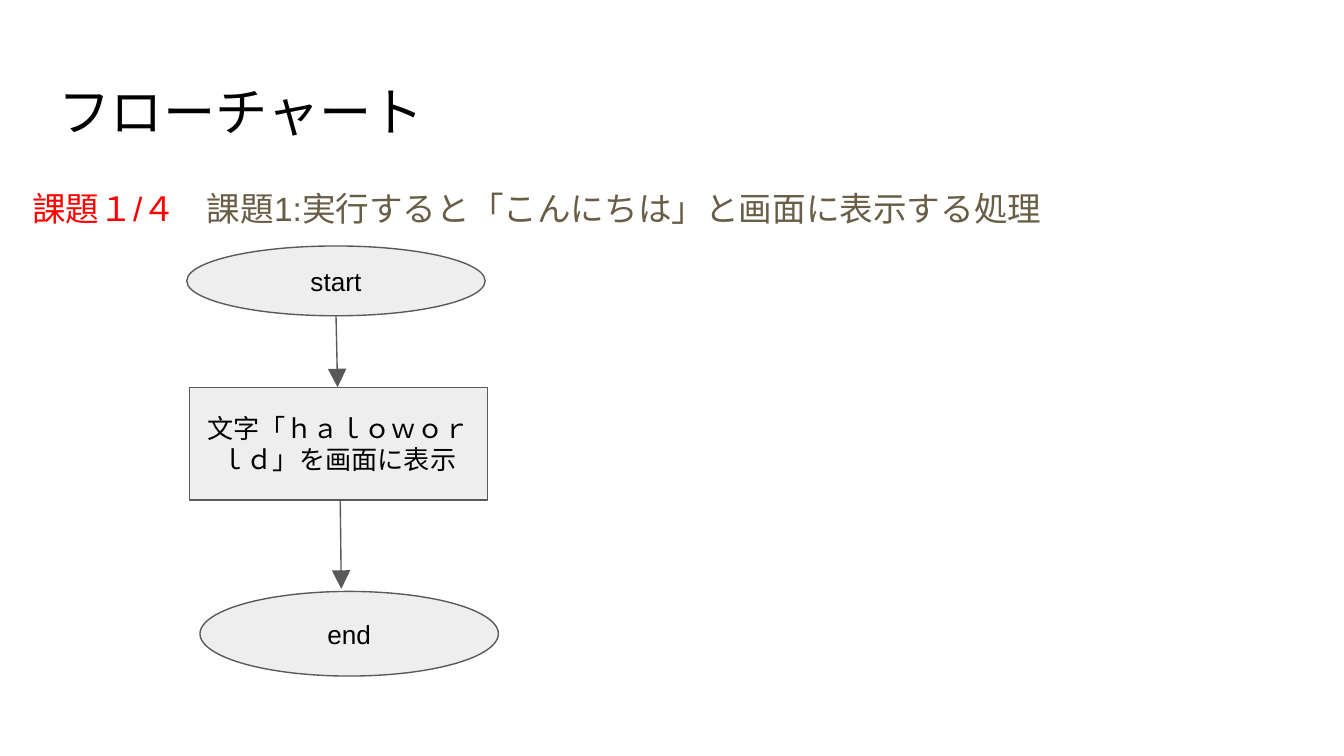
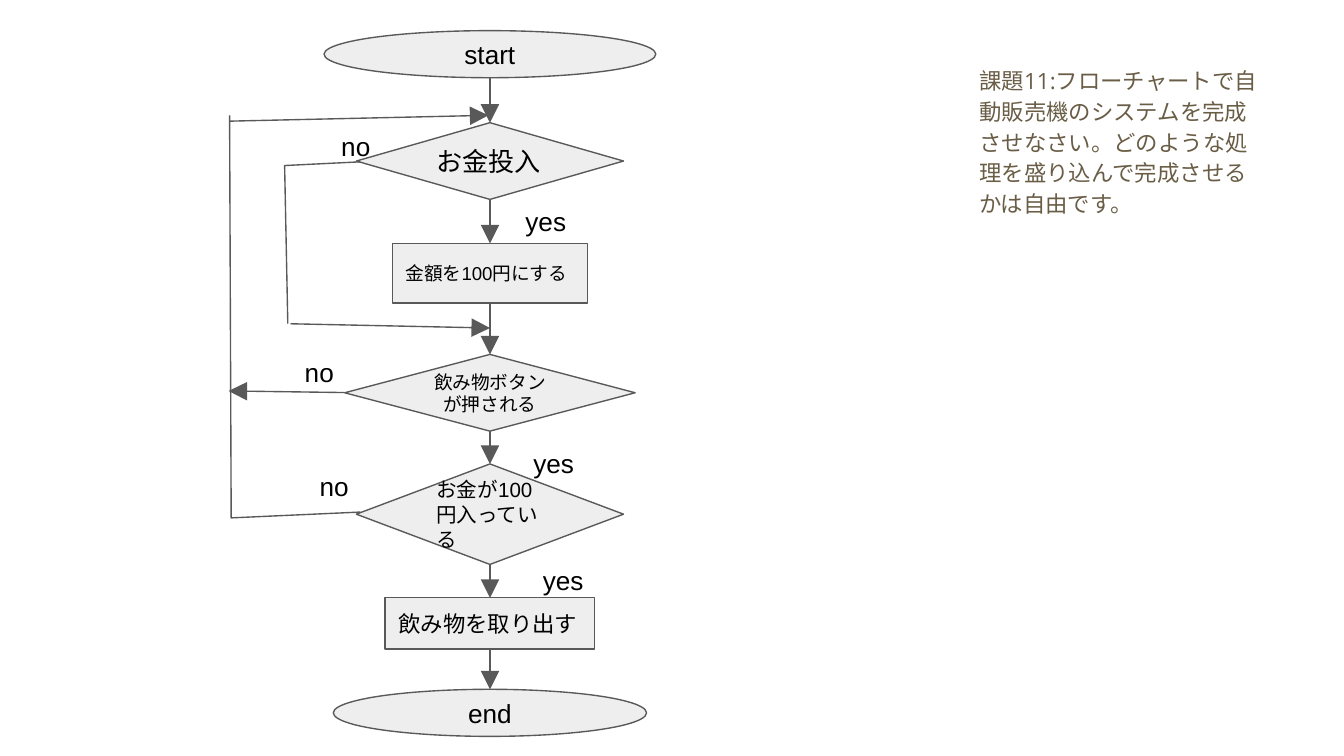
from dataclasses import dataclass
from itertools import pairwise
from typing import Any, Optional

from lxml import etree
from pptx import Presentation
from pptx import util as u
from pptx.dml.color import RGBColor
from pptx.enum import shapes, text
from pptx.oxml import ns

Point = tuple[float, float]
Kind = shapes.MSO_SHAPE
CENTER, LEFT = text.PP_ALIGN.CENTER, text.PP_ALIGN.LEFT


@dataclass(frozen=True)
class Theme:
    ink: str = "000000"
    accent: str = "FF0000"
    task: str = "695D46"
    node_fill: str = "EEEEEE"
    outline: str = "595959"
    outline_width: float = 0.75
    font: str = "Arial"
    task_font: str = "Open Sans"
    title: int = 28
    heading: int = 18
    node: int = 14
    note: int = 12
    detail: int = 11
    small: int = 10
    inset: float = 0.25


THEME = Theme()


@dataclass(frozen=True)
class Run:
    words: str
    size: int = THEME.node
    color: str = THEME.ink
    font: str = THEME.font


@dataclass(frozen=True)
class Box:
    """A rectangle measured in centimetres."""
    left: float
    top: float
    width: float
    height: float

    @property
    def lengths(self) -> list[u.Length]:
        return [u.Cm(value) for value in (self.left, self.top, self.width, self.height)]

    @property
    def top_center(self) -> Point:
        return self.left + self.width / 2, self.top

    @property
    def bottom_center(self) -> Point:
        return self.left + self.width / 2, self.top + self.height


@dataclass(frozen=True)
class Node:
    kind: Any
    words: str
    box: Box
    size: int = THEME.node
    align: Any = CENTER


@dataclass(frozen=True)
class Label:
    words: str
    box: Box


def set_values(target: Any, values: dict[str, Any]) -> None:
    for name, value in values.items():
        setattr(target, name, value)


def style_line(line: Any) -> None:
    line.color.rgb = RGBColor.from_string(THEME.outline)
    line.width = u.Pt(THEME.outline_width)


def write(shape: Any, runs: list[Run], frame_format: Optional[dict[str, Any]] = None,
          paragraph_format: Optional[dict[str, Any]] = None,
          tab: Optional[float] = None) -> None:
    frame = shape.text_frame
    margins = {f"margin_{side}": u.Cm(THEME.inset)
               for side in ("left", "top", "right", "bottom")}
    set_values(frame, margins | {"word_wrap": True} | (frame_format or {}))
    paragraph = frame.paragraphs[0]
    if tab is not None:
        tabs = etree.SubElement(paragraph._p.get_or_add_pPr(), ns.qn("a:tabLst"))
        etree.SubElement(tabs, ns.qn("a:tab"), pos=str(u.Cm(tab)), algn="l")
    set_values(paragraph, paragraph_format or {})
    for item in runs:
        run = paragraph.add_run()
        run.text = item.words
        set_values(run.font, {"size": u.Pt(item.size), "name": item.font})
        run.font.color.rgb = RGBColor.from_string(item.color)
        etree.SubElement(run._r.get_or_add_rPr(), ns.qn("a:ea"), typeface=item.font)


def add_text(slide: Any, box: Box, runs: list[Run], **formats: Any) -> None:
    write(slide.shapes.add_textbox(*box.lengths), runs, **formats)


def add_node(slide: Any, node: Node) -> None:
    shape = slide.shapes.add_shape(node.kind, *node.box.lengths)
    shape.shadow.inherit = False
    shape.fill.solid()
    shape.fill.fore_color.rgb = RGBColor.from_string(THEME.node_fill)
    style_line(shape.line)
    write(shape, [Run(node.words, node.size)],
          {"vertical_anchor": text.MSO_ANCHOR.MIDDLE}, {"alignment": node.align})


def add_arrow(slide: Any, start: Point, end: Point) -> None:
    connector = slide.shapes.add_connector(
        shapes.MSO_CONNECTOR.STRAIGHT, *(u.Cm(value) for value in start + end))
    style_line(connector.line)
    etree.SubElement(connector.line._get_or_add_ln(), ns.qn("a:tailEnd"),
                     type="triangle", w="lg", len="lg")
    etree.SubElement(connector._element.spPr, ns.qn("a:effectLst"))


def add_branch(slide: Any, points: list[Point]) -> None:
    """Draw the open bent line that a "no" answer follows."""
    first, *rest = [(u.Cm(x), u.Cm(y)) for x, y in points]
    builder = slide.shapes.build_freeform(*first)
    builder.add_line_segments(rest, close=False)
    shape = builder.convert_to_shape()
    shape.shadow.inherit = False
    shape.fill.background()
    style_line(shape.line)


def build_greeting_slide(slide: Any) -> None:
    add_text(slide, Box(0.86, 1.24, 23.67, 1.6), [Run("フローチャート", THEME.title)])
    width = 5.64
    for node in (
        Node(Kind.OVAL, "start", Box(3.53, 4.65, width, 1.32)),
        Node(Kind.RECTANGLE, "文字「ｈａｌｏｗｏｒｌｄ」を画面に表示",
             Box(3.58, 7.32, width, 2.13)),
        Node(Kind.OVAL, "end", Box(3.78, 11.18, width, 1.6)),
    ):
        add_node(slide, node)
    add_arrow(slide, (6.35, 5.97), (6.38, 7.32))
    add_arrow(slide, (6.43, 9.45), (6.45, 11.13))
    add_text(slide, Box(0.36, 3.02, 23.67, 9.5),
             [Run("課題１/４", THEME.heading, THEME.accent),
              Run("\t課題1:実行すると「こんにちは」と画面に表示する処理",
                  THEME.heading, THEME.task)],
             paragraph_format={"line_spacing": 1.38, "space_after": u.Pt(16)}, tab=3.3)


def build_vending_slide(slide: Any) -> None:
    add_text(slide, Box(18.26, 0.94, 5.92, 3.3),
             [Run("課題11:フローチャートで自動販売機のシステムを完成させなさい。"
                  "どのような処理を盛り込んで完成させるかは自由です。",
                  THEME.note, THEME.task, THEME.task_font)],
             paragraph_format={"line_spacing": 1.15, "space_after": u.Pt(16)})

    axis = 9.26

    def on_axis(width: float, top: float, height: float) -> Box:
        return Box(axis - width / 2, top, width, height)

    steps = [
        Node(Kind.OVAL, "start", on_axis(6.27, 0.58, 0.89)),
        Node(Kind.DIAMOND, "お金投入", on_axis(5.05, 2.32, 1.45), align=LEFT),
        Node(Kind.RECTANGLE, "金額を100円にする", on_axis(3.68, 4.6, 1.13),
             THEME.small, LEFT),
        Node(Kind.FLOWCHART_DECISION, "飲み物ボタンが押される",
             on_axis(5.49, 6.7, 1.45), THEME.small),
        Node(Kind.DIAMOND, "お金が100円入っている", on_axis(5.05, 8.77, 1.9),
             THEME.detail, LEFT),
        Node(Kind.RECTANGLE, "飲み物を取り出す", on_axis(3.96, 11.3, 0.97),
             THEME.note, LEFT),
        Node(Kind.OVAL, "end", on_axis(5.92, 13.03, 0.89)),
    ]
    for step in steps:
        add_node(slide, step)
    for upper, lower in pairwise(steps):
        add_arrow(slide, upper.box.bottom_center, lower.box.top_center)

    skip_payment = [(6.81, 3.06), (5.38, 3.13), (5.44, 6.12)]
    back_to_start = [(6.81, 9.68), (4.37, 9.79), (4.34, 2.18)]
    for points in (skip_payment, back_to_start):
        add_branch(slide, points)
    for start, end in (
        ((5.49, 6.12), (axis, 6.2)),
        ((4.34, 2.29), (9.23, 2.18)),
        ((6.51, 7.42), (4.32, 7.39)),
    ):
        add_arrow(slide, start, end)

    for label in (
        Label("yes", Box(9.68, 3.63, 1.42, 0.64)),
        Label("no", Box(6.2, 2.21, 1.17, 0.76)),
        Label("no", Box(5.51, 6.48, 1.17, 0.64)),
        Label("yes", Box(9.83, 8.2, 1.52, 0.64)),
        Label("yes", Box(10.01, 10.41, 1.78, 0.64)),
        Label("no", Box(5.79, 8.64, 1.17, 0.51)),
    ):
        add_text(slide, label.box, [Run(label.words)])


def main() -> None:
    presentation = Presentation()
    set_values(presentation, {"slide_width": u.Cm(25.4), "slide_height": u.Cm(14.29)})
    blank = presentation.slide_layouts[6]
    for build in (build_greeting_slide, build_vending_slide):
        build(presentation.slides.add_slide(blank))
    presentation.save("out.pptx")


if __name__ == "__main__":
    main()
